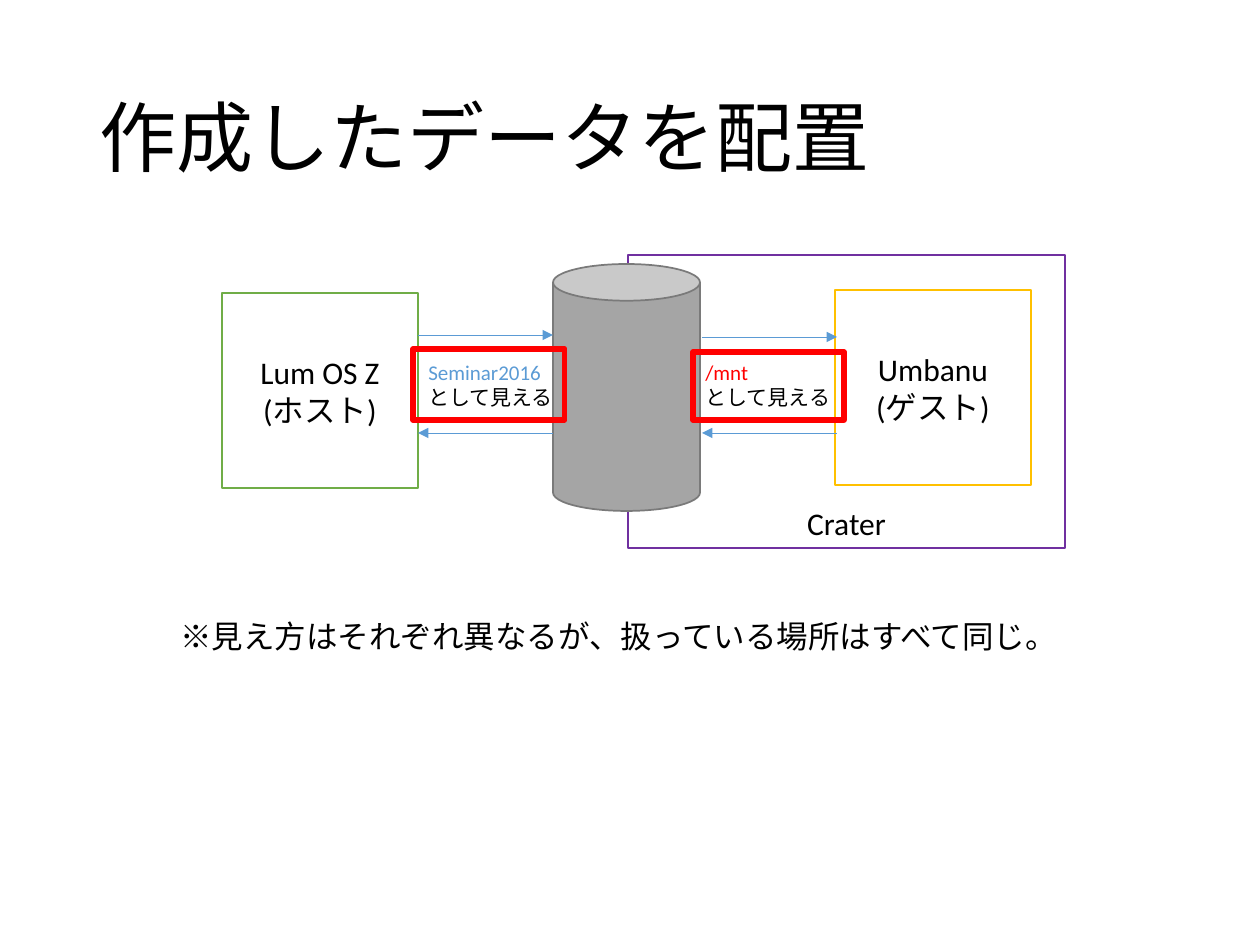
import pptx
import pptx.util
from pptx.dml.color import RGBColor
from pptx.enum.shapes import MSO_CONNECTOR, MSO_SHAPE
from pptx.enum.text import MSO_ANCHOR, PP_ALIGN
from pptx.oxml.ns import qn
from lxml import etree

PX = 914400 // 126
THEME = {
    "font": "Calibri",
    "black": "000000", "white": "FFFFFF", "blue": "5B9BD5", "red": "FF0000",
    "green": "70AD47", "gold": "FFC000", "purple": "7030A0",
    "grey": "A5A5A5", "edge": "7A7A7A",
    "title": 44, "body": 18, "small": 12,
}
MID, TOP, LOW = MSO_ANCHOR.MIDDLE, MSO_ANCHOR.TOP, MSO_ANCHOR.BOTTOM

# box in px, outline, anchor, lines
DISK = (553, 264, 147, 247)
ZONE = ((628, 255, 437, 293), "purple", LOW, ["Crater"])
HOSTS = [
    ((222, 293, 196, 195), "green", MID, ["Lum OS Z", "(ホスト)"]),
    ((835, 290, 196, 195), "gold", MID, ["Umbanu", "(ゲスト)"]),
]
# box in px, size, anchor, line spacing, (text, colour) lines
TEXTS = [
    ((87, 50, 1086, 183), "title", MID, 0.9, [("作成したデータを配置", "black")]),
    ((416, 353, 164, 89), "small", TOP, 1,
     [("Seminar2016", "blue"), ("として見える", "black")]),
    ((693, 353, 160, 89), "small", TOP, 1,
     [("/mnt", "red"), ("として見える", "black")]),
    ((168, 611, 916, 50), "body", TOP, 1,
     [("※見え方はそれぞれ異なるが、扱っている場所はすべて同じ。", "black")]),
]
# left, right, y of the arrow going right, y of the one going back
LINKS = [(418, 553, 335, 433), (702, 837, 337, 433)]
MARKS = [(413, 349, 152, 71), (693, 352, 151, 68)]


def emu(vals):
    return [v * PX for v in vals]


def tint(name):
    return RGBColor.from_string(THEME[name])


def put(obj, **vals):
    for key, val in vals.items():
        setattr(obj, key, val)


def write(shape, lines, size, anchor, align, gap=1):
    frame = shape.text_frame
    put(frame, word_wrap=True, vertical_anchor=anchor)
    for i, (text, hue) in enumerate(lines):
        para = frame.add_paragraph() if i else frame.paragraphs[0]
        put(para, alignment=align, line_spacing=gap)
        run = para.add_run()
        run.text = text
        put(run.font, name=THEME["font"], size=pptx.util.Pt(THEME[size]))
        run.font.color.rgb = tint(hue)


def draw(slide, kind, box, line, fill=None, width=1):
    shape = slide.shapes.add_shape(kind, *emu(box))
    shape.shadow.inherit = False
    if fill:
        shape.fill.solid()
        shape.fill.fore_color.rgb = tint(fill)
    else:
        shape.fill.background()
    shape.line.color.rgb = tint(line)
    shape.line.width = pptx.util.Pt(width)
    return shape


def panel(slide, box, line, anchor, lines):
    shape = draw(slide, MSO_SHAPE.RECTANGLE, box, line, "white")
    write(shape, [(t, "black") for t in lines], "body", anchor, PP_ALIGN.CENTER)


def arrow(slide, start, end, y):
    wire = slide.shapes.add_connector(
        MSO_CONNECTOR.STRAIGHT, *emu((start, y, end, y)))
    wire.line.color.rgb = tint("blue")
    wire.line.width = pptx.util.Pt(0.5)
    etree.SubElement(wire.line._get_or_add_ln(), qn("a:tailEnd"), type="triangle")
    etree.SubElement(wire._element.spPr, qn("a:effectLst"))


def main():
    deck = pptx.Presentation()
    put(deck, slide_width=pptx.util.Inches(10), slide_height=pptx.util.Inches(7.5))
    slide = deck.slides.add_slide(deck.slide_layouts[6])

    panel(slide, *ZONE)
    draw(slide, MSO_SHAPE.CAN, DISK, "edge", "grey")
    for host in HOSTS:
        panel(slide, *host)
    for left, right, out, back in LINKS:
        arrow(slide, left, right, out)
        arrow(slide, right, left, back)
    for box, size, anchor, gap, lines in TEXTS:
        label = slide.shapes.add_textbox(*emu(box))
        write(label, lines, size, anchor, PP_ALIGN.LEFT, gap)
    for box in MARKS:
        draw(slide, MSO_SHAPE.RECTANGLE, box, "red", width=3)
    deck.save("out.pptx")


if __name__ == "__main__":
    main()
